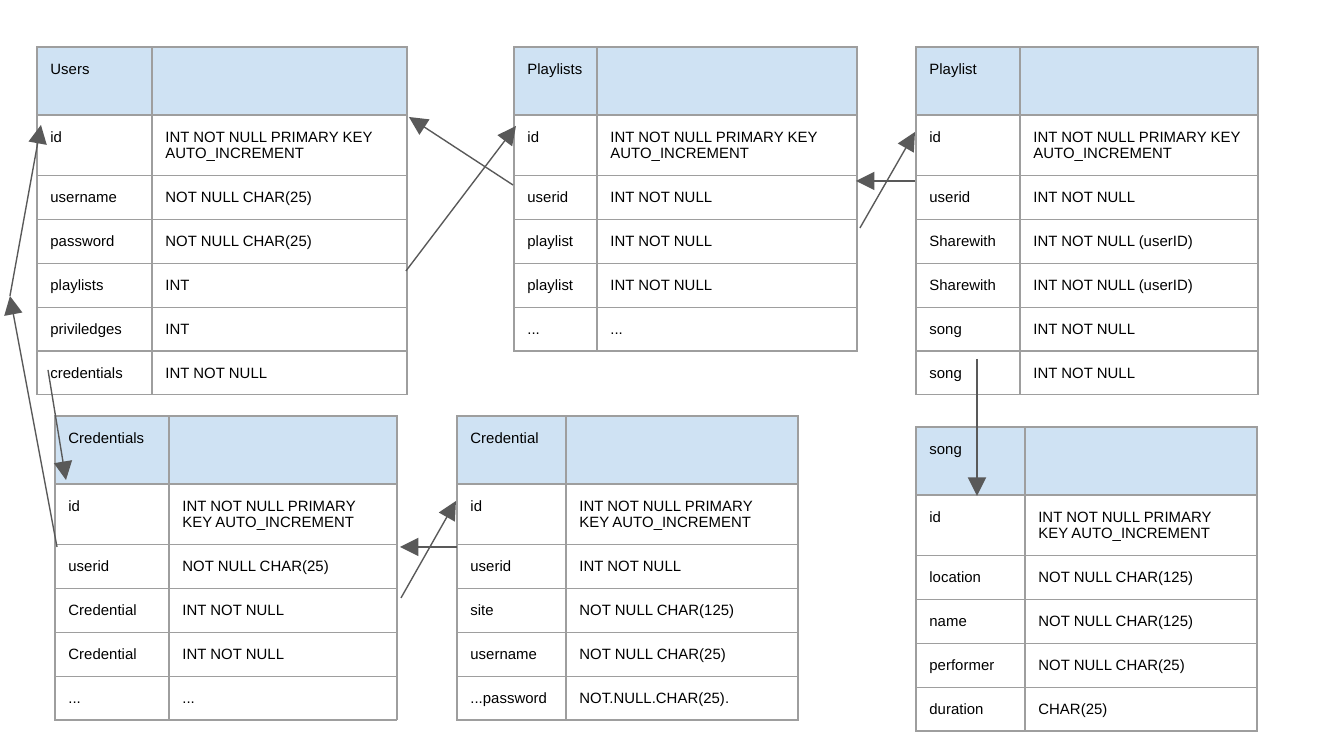
from dataclasses import dataclass

from lxml import etree
from pptx import Presentation
from pptx.dml.color import RGBColor
from pptx.enum.shapes import MSO_CONNECTOR
from pptx.oxml.ns import qn
from pptx.util import Emu, Pt

STRAIGHT = MSO_CONNECTOR.STRAIGHT
EMU_PER_PIXEL = 9144000 / 1344
HEADER_HEIGHT, KEY_HEIGHT, FIELD_HEIGHT = 64, 61, 43
HEADER_FILL, BORDER, ARROW, INK = "CFE2F3", "9E9E9E", "595959", "000000"
LINE_WIDTH = Pt(0.75)
KEY_TYPE = "INT NOT NULL PRIMARY KEY AUTO_INCREMENT"
NUMBER = "INT NOT NULL"
SHARED_USER = "INT NOT NULL (userID)"
SHORT_TEXT = "NOT NULL CHAR(25)"
LONG_TEXT = "NOT NULL CHAR(125)"


@dataclass(frozen=True)
class Entity:
    title: str
    left: int
    top: int
    widths: tuple[int, int]
    fields: tuple[tuple[str, str], ...]


@dataclass(frozen=True)
class Relation:
    start: tuple[int, int]
    end: tuple[int, int]


ENTITIES = (
    Entity("Users", 37, 47, (115, 255), (
        ("username", SHORT_TEXT), ("password", SHORT_TEXT), ("playlists", "INT"),
        ("priviledges", "INT"), ("credentials", NUMBER))),
    Entity("Playlists", 514, 47, (83, 260), (
        ("userid", NUMBER), ("playlist", NUMBER), ("playlist", NUMBER), ("...", "..."))),
    Entity("Playlist", 916, 47, (104, 238), (
        ("userid", NUMBER), ("Sharewith", SHARED_USER), ("Sharewith", SHARED_USER),
        ("song", NUMBER), ("song", NUMBER))),
    Entity("Credentials", 55, 416, (114, 228), (
        ("userid", SHORT_TEXT), ("Credential", NUMBER), ("Credential", NUMBER),
        ("...", "..."))),
    Entity("Credential", 457, 416, (109, 232), (
        ("userid", NUMBER), ("site", LONG_TEXT), ("username", SHORT_TEXT),
        ("...password", "NOT.NULL.CHAR(25)."))),
    Entity("song", 916, 427, (109, 232), (
        ("location", LONG_TEXT), ("name", LONG_TEXT), ("performer", SHORT_TEXT),
        ("duration", "CHAR(25)"))),
)

RELATIONS = (
    Relation((406, 271), (516, 126)),
    Relation((513, 185), (409, 117)),
    Relation((860, 228), (915, 132)),
    Relation((401, 598), (456, 501)),
    Relation((48, 370), (66, 480)),
    Relation((57, 547), (10, 296)),
    Relation((10, 296), (41, 125)),
    Relation((915, 181), (856, 181)),
    Relation((457, 547), (400, 547)),
    Relation((977, 359), (977, 496)),
)


def px(pixels: int) -> Emu:
    return Emu(round(pixels * EMU_PER_PIXEL))


def colour(code: str) -> RGBColor:
    return RGBColor.from_string(code)


def apply(target, values: dict) -> None:
    for name, value in values.items():
        setattr(target, name, value)


CELL_FORMAT = {f"margin_{side}": Emu(91440) for side in ("left", "right", "top", "bottom")}
FONT_FORMAT = {"name": "Arial", "size": Pt(8), "bold": False}
TABLE_FORMAT = {"first_row": False, "horz_banding": False}


def add_borders(cell) -> None:
    properties = cell._tc.get_or_add_tcPr()
    for side in ("lnL", "lnR", "lnT", "lnB"):
        edge = etree.SubElement(properties, qn(f"a:{side}"), w=str(LINE_WIDTH))
        paint = etree.SubElement(edge, qn("a:solidFill"))
        etree.SubElement(paint, qn("a:srgbClr"), val=BORDER)


def fill_cell(cell, text: str, is_header: bool) -> None:
    apply(cell, CELL_FORMAT)
    add_borders(cell)
    if is_header:
        cell.fill.solid()
        cell.fill.fore_color.rgb = colour(HEADER_FILL)
    else:
        cell.fill.background()
    if text:
        run = cell.text_frame.paragraphs[0].add_run()
        run.text = text
        apply(run.font, FONT_FORMAT)
        run.font.color.rgb = colour(INK)


def draw_entity(slide, entity: Entity) -> None:
    rows = ((entity.title, ""), ("id", KEY_TYPE), *entity.fields)
    heights = (HEADER_HEIGHT, KEY_HEIGHT) + (FIELD_HEIGHT,) * len(entity.fields)
    grid = slide.shapes.add_table(
        len(rows), 2, px(entity.left), px(entity.top),
        px(sum(entity.widths)), px(sum(heights))).table
    apply(grid, TABLE_FORMAT)
    for column, width in zip(grid.columns, entity.widths):
        column.width = px(width)
    for index, (row, height, texts) in enumerate(zip(grid.rows, heights, rows)):
        row.height = px(height)
        for cell, text in zip(row.cells, texts):
            fill_cell(cell, text, index == 0)


def draw_relation(slide, relation: Relation) -> None:
    arrow = slide.shapes.add_connector(
        STRAIGHT, *map(px, relation.start), *map(px, relation.end))
    arrow.line.width = LINE_WIDTH
    arrow.line.color.rgb = colour(ARROW)
    etree.SubElement(arrow.line._get_or_add_ln(), qn("a:tailEnd"),
                     type="triangle", w="lg", len="lg")
    etree.SubElement(arrow._element.spPr, qn("a:effectLst"))


def main() -> None:
    deck = Presentation()
    apply(deck, {"slide_width": px(1344), "slide_height": px(756)})
    slide = deck.slides.add_slide(deck.slide_layouts[6])
    for entity in ENTITIES:
        draw_entity(slide, entity)
    for relation in RELATIONS:
        draw_relation(slide, relation)
    deck.save("out.pptx")


main()
